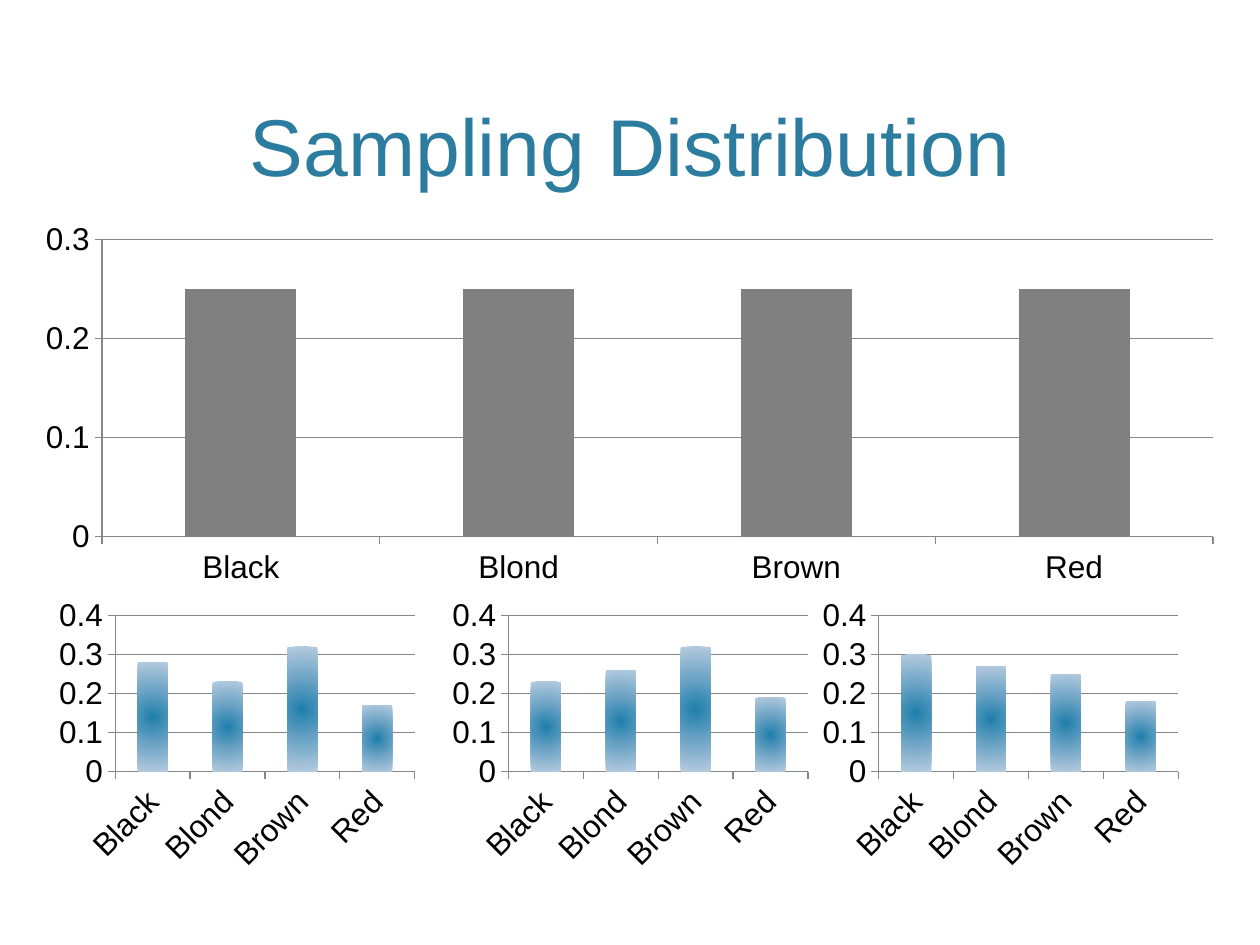
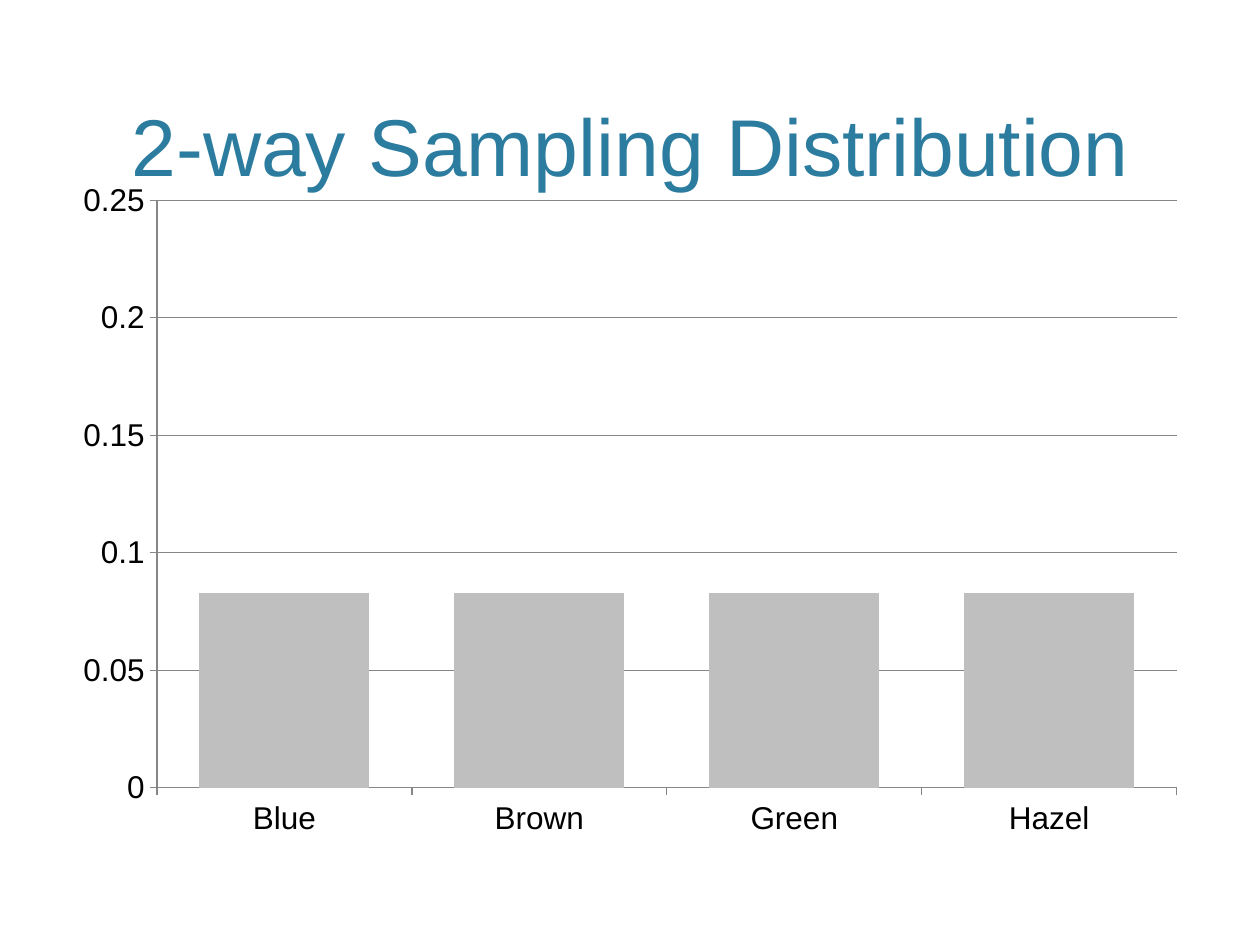
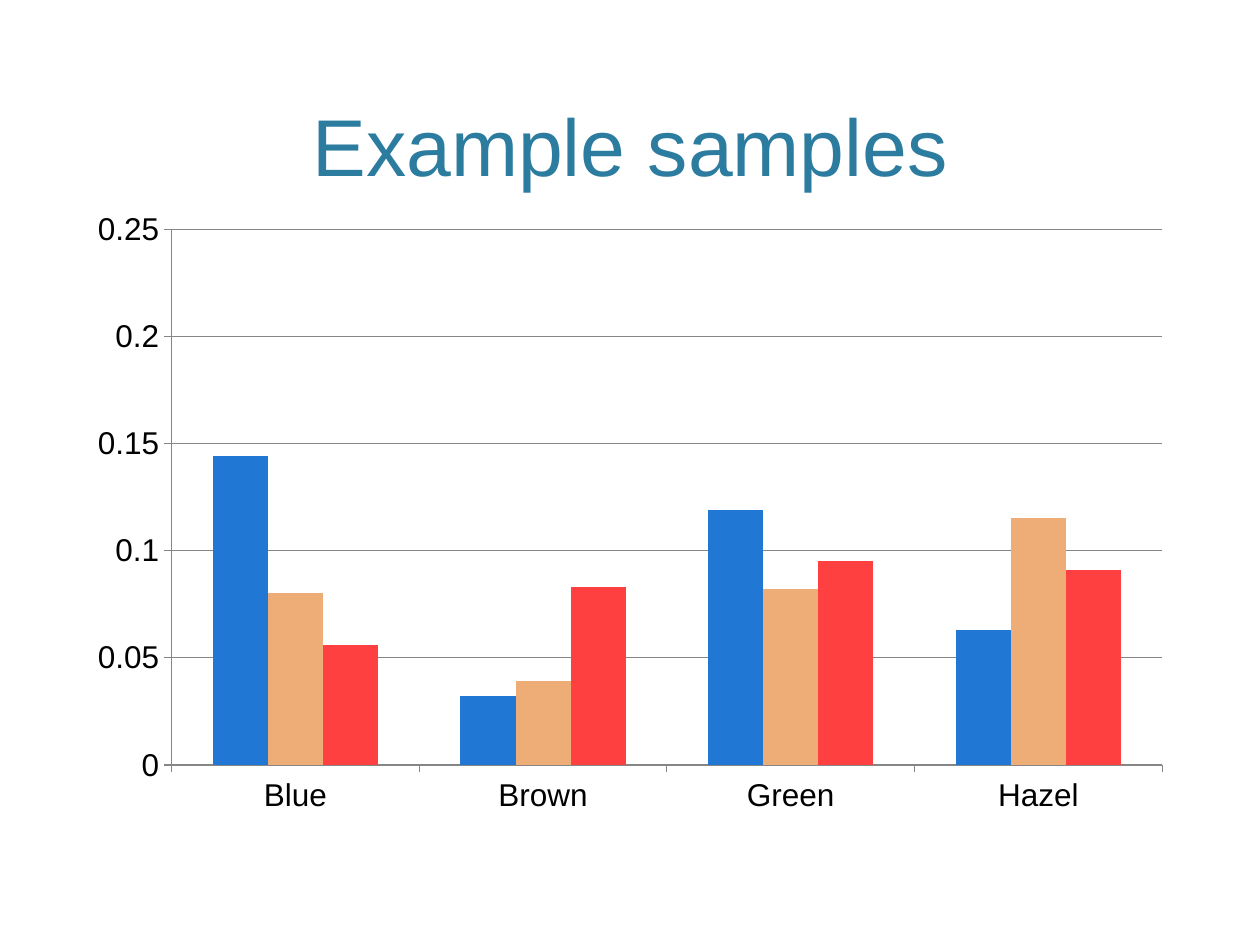
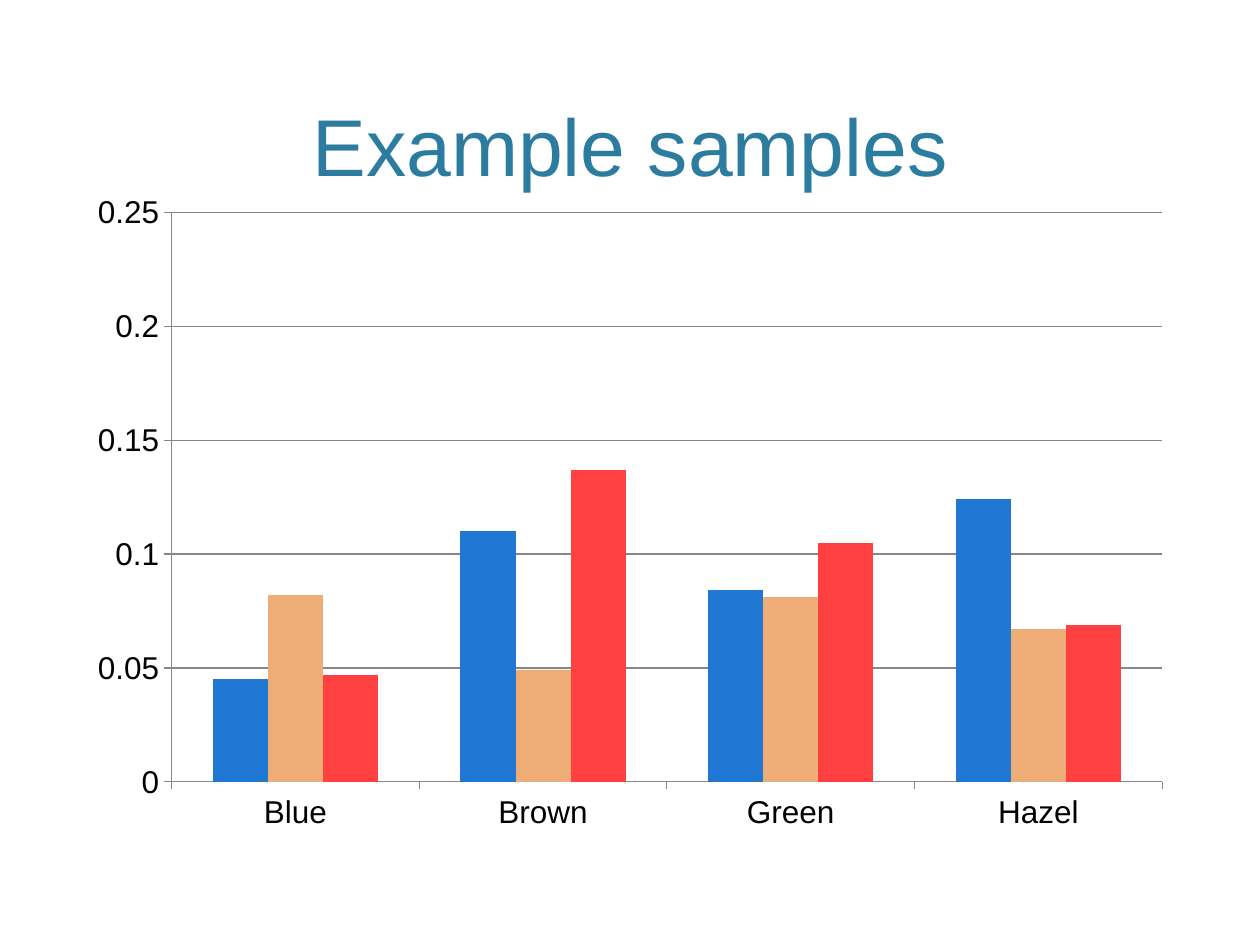
import lxml.etree
import pptx
import pptx.chart.data
import pptx.dml.color
import pptx.enum.chart
import pptx.enum.text
import pptx.util

Pt = pptx.util.Pt
RGBColor = pptx.dml.color.RGBColor

FONT = "Arial"
TEAL = RGBColor(0x2C, 0x7C, 0x9F)
BLACK = RGBColor(0x00, 0x00, 0x00)
AXIS_GRAY = RGBColor(0x86, 0x86, 0x86)
DARK_GRAY = RGBColor(0x80, 0x80, 0x80)
LIGHT_GRAY = RGBColor(0xBF, 0xBF, 0xBF)
BLUE = RGBColor(0x20, 0x77, 0xD4)
TAN = RGBColor(0xEE, 0xAC, 0x77)
RED = RGBColor(0xFF, 0x40, 0x40)
GLOW_STOPS = [
    (0, RGBColor(0x1F, 0x7F, 0xAC)),
    (50, RGBColor(0x6F, 0xA5, 0xC6)),
    (100, RGBColor(0xB4, 0xCB, 0xDF)),
]

HAIR_COLORS = ["Black", "Blond", "Brown", "Red"]
EYE_COLORS = ["Blue", "Brown", "Green", "Hazel"]
DRAWING_NAMESPACE = "http://schemas.openxmlformats.org/drawingml/2006/main"


def add_column_chart(slide, box, categories, rows, colors, maximum, major_unit):
    """Add a clustered column chart; box is left, top, width, height in points."""
    chart_data = pptx.chart.data.CategoryChartData()
    chart_data.categories = categories
    for number, values in enumerate(rows, start=1):
        chart_data.add_series(f"Series {number}", values)
    chart = slide.shapes.add_chart(
        pptx.enum.chart.XL_CHART_TYPE.COLUMN_CLUSTERED,
        *[Pt(length) for length in box],
        chart_data,
    ).chart
    chart.has_legend = False
    chart.has_title = False
    chart.font.name = FONT
    chart.font.size = Pt(18)
    chart.font.color.rgb = BLACK

    value_axis = chart.value_axis
    value_axis.minimum_scale = 0
    value_axis.maximum_scale = maximum
    value_axis.major_unit = major_unit
    value_axis.has_major_gridlines = True
    for line_owner in (value_axis, value_axis.major_gridlines, chart.category_axis):
        line_owner.format.line.color.rgb = AXIS_GRAY
        line_owner.format.line.width = Pt(0.75)

    plot = chart.plots[0]
    plot.gap_width = 150
    plot.vary_by_categories = False
    for series, color in zip(plot.series, colors):
        series.invert_if_negative = False
        series.format.fill.solid()
        series.format.fill.fore_color.rgb = color
    return chart


def apply_glow(series):
    """Fill the columns with a radial gradient that fades towards the edges."""
    stops = "".join(
        f'<a:gs pos="{percent * 1000}"><a:srgbClr val="{color}"/></a:gs>'
        for percent, color in GLOW_STOPS
    )
    gradient = lxml.etree.fromstring(
        f'<a:gradFill xmlns:a="{DRAWING_NAMESPACE}" rotWithShape="1">'
        f'<a:gsLst>{stops}</a:gsLst><a:path path="circle">'
        '<a:fillToRect l="50000" t="50000" r="50000" b="50000"/>'
        "</a:path></a:gradFill>"
    )
    properties = series._element.get_or_add_spPr()
    properties.replace(properties.find(f"{{{DRAWING_NAMESPACE}}}solidFill"), gradient)


presentation = pptx.Presentation()
presentation.slide_width = Pt(720)
presentation.slide_height = Pt(540)

slides = []
for title in [
    "Sampling Distribution",
    "2-way Sampling Distribution",
    "Example samples",
    "Example samples",
]:
    slide = presentation.slides.add_slide(presentation.slide_layouts[6])
    title_box = slide.shapes.add_textbox(Pt(43.2), Pt(8.64), Pt(633.6), Pt(105.12))
    text_frame = title_box.text_frame
    text_frame.word_wrap = True
    text_frame.vertical_anchor = pptx.enum.text.MSO_ANCHOR.BOTTOM
    text_frame.text = title
    paragraph = text_frame.paragraphs[0]
    paragraph.alignment = pptx.enum.text.PP_ALIGN.CENTER
    font = paragraph.runs[0].font
    font.name = FONT
    font.size = Pt(46)
    font.color.rgb = TEAL
    slides.append(slide)

# Hair colour: the expected distribution above three samples
add_column_chart(
    slides[0], (12.24, 122.4, 694.8, 216), HAIR_COLORS, [[0.25] * 4], [DARK_GRAY], 0.3, 0.1
)
hair_samples = [
    (29.5, [0.28, 0.23, 0.32, 0.17]),
    (254.2, [0.23, 0.26, 0.32, 0.19]),
    (465.8, [0.3, 0.27, 0.25, 0.18]),
]
for left, values in hair_samples:
    sample_chart = add_column_chart(
        slides[0], (left, 338.4, 211.7, 163.4), HAIR_COLORS, [values], [TEAL], 0.4, 0.1
    )
    apply_glow(sample_chart.plots[0].series[0])

# Eye colour: the expected distribution, then two sets of three samples
SAMPLE_COLORS = [BLUE, TAN, RED]
eye_charts = [
    ((34.56, 96.48, 650.88, 388.8), [[0.083] * 4] * 3, [LIGHT_GRAY] * 3),
    (
        (43.2, 113.76, 633.6, 357.84),
        [
            [0.144, 0.032, 0.119, 0.063],
            [0.08, 0.039, 0.082, 0.115],
            [0.056, 0.083, 0.095, 0.091],
        ],
        SAMPLE_COLORS,
    ),
    (
        (43.2, 103.68, 633.6, 378),
        [
            [0.045, 0.11, 0.084, 0.124],
            [0.082, 0.049, 0.081, 0.067],
            [0.047, 0.137, 0.105, 0.069],
        ],
        SAMPLE_COLORS,
    ),
]
for slide, (box, rows, colors) in zip(slides[1:], eye_charts):
    add_column_chart(slide, box, EYE_COLORS, rows, colors, 0.25, 0.05)

presentation.save("out.pptx")
